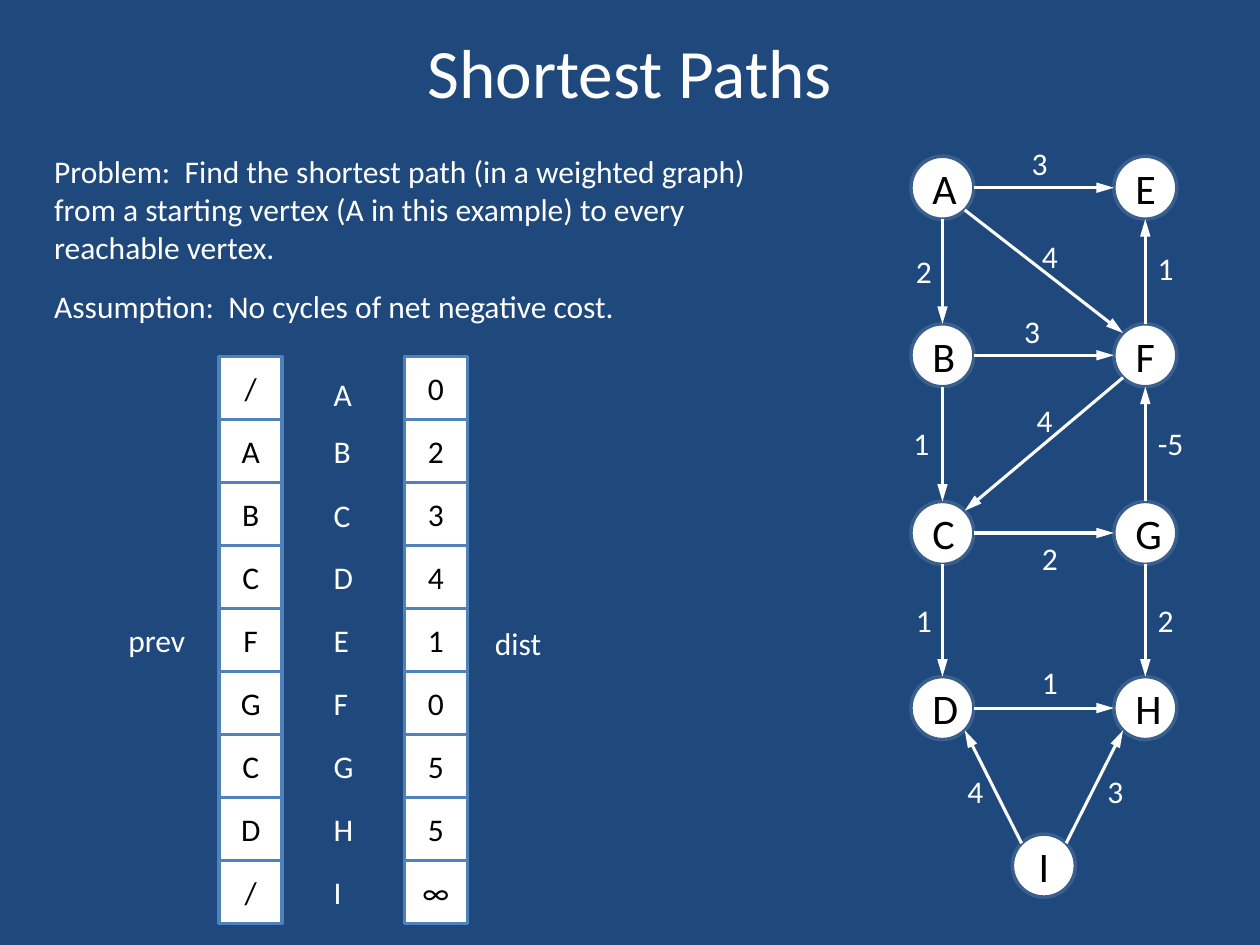
from dataclasses import dataclass
from math import atan2, cos, pi, sin

from lxml import etree
from pptx import Presentation
from pptx.dml.color import RGBColor
from pptx.enum.shapes import MSO_CONNECTOR, MSO_SHAPE
from pptx.enum.text import MSO_ANCHOR, MSO_AUTO_SIZE, PP_ALIGN
from pptx.oxml.ns import qn
from pptx.util import Inches, Pt

STRAIGHT = MSO_CONNECTOR.STRAIGHT
OVAL, RECTANGLE = MSO_SHAPE.OVAL, MSO_SHAPE.RECTANGLE
MIDDLE, TOP = MSO_ANCHOR.MIDDLE, MSO_ANCHOR.TOP
CENTER, LEFT = PP_ALIGN.CENTER, PP_ALIGN.LEFT
FIT_SHAPE, FIXED = MSO_AUTO_SIZE.SHAPE_TO_FIT_TEXT, MSO_AUTO_SIZE.NONE


@dataclass(frozen=True)
class Theme:
    """Colours, font and type sizes of the slide."""
    background: RGBColor = RGBColor(0x1F, 0x49, 0x7D)
    light: RGBColor = RGBColor(0xFF, 0xFF, 0xFF)
    dark: RGBColor = RGBColor(0x00, 0x00, 0x00)
    ring: RGBColor = RGBColor(0x3A, 0x5F, 0x8C)
    cell_border: RGBColor = RGBColor(0x4F, 0x81, 0xBD)
    font: str = "Calibri"
    title_size: float = 39.6
    vertex_size: float = 24
    text_size: float = 18
    border_width: float = 2
    arrow_width: float = 1.75


THEME = Theme()
SIDE = 0.5
LABEL_HEIGHT = 0.4
GRAPH_COLUMNS = (7.48, 9.09)
GRAPH_ROWS = (1.49, 2.82, 4.23, 5.62)
VERTICES = {
    letter: (x, y)
    for x, letters in zip(GRAPH_COLUMNS, ("ABCD", "EFGH"))
    for letter, y in zip(letters, GRAPH_ROWS)
}
VERTICES["I"] = (sum(GRAPH_COLUMNS) / 2, 6.87)

# start, end, weight, label left, label top
EDGES = (
    ("A", "E", "3", 8.09, 1.09),
    ("A", "B", "2", 7.17, 1.95),
    ("A", "F", "4", 8.17, 1.83),
    ("F", "E", "1", 9.09, 1.93),
    ("B", "F", "3", 8.03, 2.43),
    ("B", "C", "1", 7.15, 3.32),
    ("F", "C", "4", 8.13, 3.13),
    ("G", "F", "-5", 9.09, 3.32),
    ("C", "G", "2", 8.17, 4.23),
    ("C", "D", "1", 7.17, 4.72),
    ("G", "H", "2", 9.09, 4.72),
    ("D", "H", "1", 8.17, 5.21),
    ("I", "D", "4", 7.58, 6.08),
    ("I", "H", "3", 8.69, 6.08),
)
ARRAY_TOP = 2.83
PREV_LEFT, INDEX_LEFT, DIST_LEFT = 1.74, 2.55, 3.21
PREV = "/ABCFGCD/"
DIST = "02341055∞"
INDEX_DROPS = (0.1, 0.05, 0.06) + (0.05,) * 6
PROBLEM = (
    "Problem:  Find the shortest path (in a weighted graph) from a starting "
    "vertex (A in this example) to every reachable vertex.",
    "Assumption:  No cycles of net negative cost.",
)


def place(shape, left, top, width, height):
    """Move and size a shape in inches."""
    shape.left, shape.top = Inches(left), Inches(top)
    shape.width, shape.height = Inches(width), Inches(height)


def add_run(para, text, size, color):
    """Append a formatted run to a paragraph."""
    span = para.add_run()
    span.text = text
    span.font.name = THEME.font
    span.font.size = Pt(size)
    span.font.color.rgb = color


def add_title(slide, text):
    """Fill the title placeholder."""
    title = slide.shapes.title
    place(title, 0.5, 0.17, 9, 0.78)
    title.text_frame.vertical_anchor = MIDDLE
    para = title.text_frame.paragraphs[0]
    para.alignment = CENTER
    add_run(para, text, THEME.title_size, THEME.light)


def add_body(slide, texts):
    """Fill the body placeholder with unbulleted paragraphs."""
    body = slide.placeholders[1]
    place(body, 0.33, 1.16, 6.02, 1.48)
    frame = body.text_frame
    frame.auto_size = FIXED
    frame.vertical_anchor = TOP
    for index, text in enumerate(texts):
        para = frame.add_paragraph() if index else frame.paragraphs[0]
        para.alignment = LEFT
        para.space_before = Pt(12 if index else 0)
        properties = para._p.get_or_add_pPr()
        properties.set("marL", "0")
        properties.set("indent", "0")
        etree.SubElement(properties, qn("a:buNone"))
        add_run(para, text, THEME.text_size, THEME.light)


def add_box(slide, kind, left, top, text, size, border):
    """Add a white square or circle holding one symbol."""
    box = slide.shapes.add_shape(
        kind, Inches(left), Inches(top), Inches(SIDE), Inches(SIDE))
    box.shadow.inherit = False
    box.fill.solid()
    box.fill.fore_color.rgb = THEME.light
    box.line.color.rgb = border
    box.line.width = Pt(THEME.border_width)
    box.text_frame.vertical_anchor = MIDDLE
    para = box.text_frame.paragraphs[0]
    para.alignment = CENTER
    add_run(para, text, size, THEME.dark)


def add_label(slide, left, top, text, width=0.33):
    """Add a short line of light text."""
    label = slide.shapes.add_textbox(
        Inches(left), Inches(top), Inches(width), Inches(LABEL_HEIGHT))
    label.text_frame.word_wrap = False
    label.text_frame.auto_size = FIT_SHAPE
    add_run(label.text_frame.paragraphs[0], text, THEME.text_size, THEME.light)


def rim_point(vertex, target):
    """Return the eighth point of a vertex's rim that faces the target."""
    (x, y), (target_x, target_y) = VERTICES[vertex], VERTICES[target]
    eighth = pi / 4
    angle = round(atan2(target_y - y, target_x - x) / eighth) * eighth
    return Inches(x + SIDE / 2 * cos(angle)), Inches(y + SIDE / 2 * sin(angle))


def add_arrow(slide, start, end):
    """Draw an arrow from one vertex to another."""
    arrow = slide.shapes.add_connector(
        STRAIGHT, *rim_point(start, end), *rim_point(end, start))
    arrow.line.color.rgb = THEME.light
    arrow.line.width = Pt(THEME.arrow_width)
    properties = arrow._element.spPr
    etree.SubElement(properties.find(qn("a:ln")), qn("a:tailEnd"),
                     type="triangle", w="med", len="lg")
    etree.SubElement(properties, qn("a:effectLst"))


def add_graph(slide):
    """Draw the weighted graph."""
    for letter, (x, y) in VERTICES.items():
        add_box(slide, OVAL, x - SIDE / 2, y - SIDE / 2, letter,
                THEME.vertex_size, THEME.ring)
    for start, end, weight, left, top in EDGES:
        add_arrow(slide, start, end)
        add_label(slide, left, top, weight, 0.33 if len(weight) == 1 else 0.41)


def add_arrays(slide):
    """Draw the prev and dist arrays with the vertex names between them."""
    rows = zip(sorted(VERTICES), PREV, DIST, INDEX_DROPS)
    for row, (letter, prev, dist, drop) in enumerate(rows):
        top = ARRAY_TOP + row * SIDE
        for left, value in ((PREV_LEFT, prev), (DIST_LEFT, dist)):
            add_box(slide, RECTANGLE, left, top, value,
                    THEME.text_size, THEME.cell_border)
        add_label(slide, INDEX_LEFT, top + drop, letter, 0.35)
    add_label(slide, 0.92, 4.88, "prev", 0.66)
    add_label(slide, 3.83, 4.9, "dist", 0.57)


def main():
    """Build and save the slide."""
    deck = Presentation()
    deck.slide_width, deck.slide_height = Inches(10), Inches(7.5)
    page = deck.slides.add_slide(deck.slide_layouts[1])
    page.background.fill.solid()
    page.background.fill.fore_color.rgb = THEME.background
    add_title(page, "Shortest Paths")
    add_body(page, PROBLEM)
    add_graph(page)
    add_arrays(page)
    deck.save("out.pptx")


if __name__ == "__main__":
    main()
